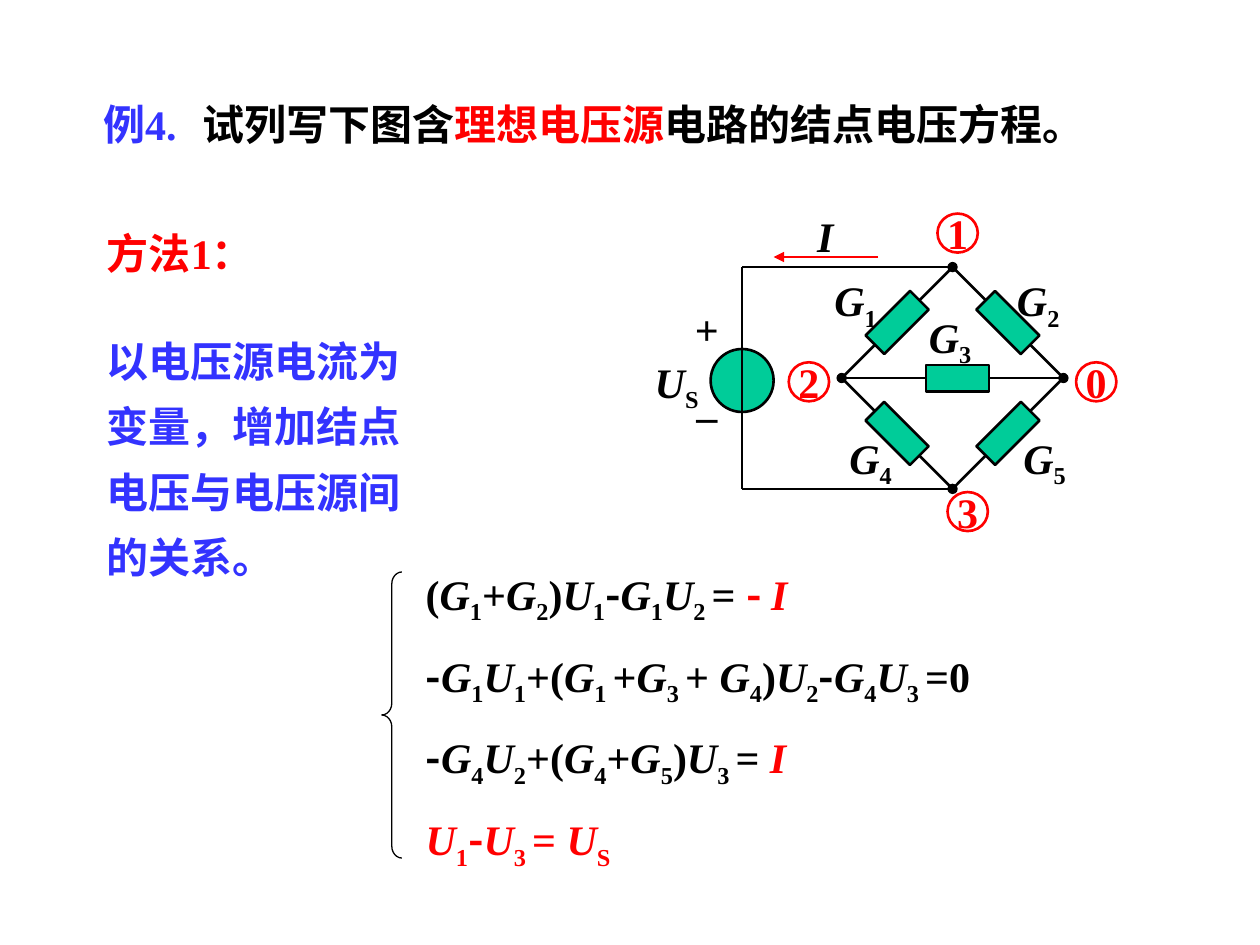
from itertools import groupby

from lxml import etree
from pptx import Presentation
from pptx.dml.color import RGBColor
from pptx.enum.shapes import MSO_CONNECTOR, MSO_SHAPE
from pptx.enum.text import MSO_ANCHOR, MSO_AUTO_SIZE, PP_ALIGN
from pptx.oxml.ns import qn
from pptx.util import Inches, Pt

STRAIGHT = MSO_CONNECTOR.STRAIGHT
RECTANGLE, OVAL, LEFT_BRACE = MSO_SHAPE.RECTANGLE, MSO_SHAPE.OVAL, MSO_SHAPE.LEFT_BRACE
TOP, MIDDLE = MSO_ANCHOR.TOP, MSO_ANCHOR.MIDDLE
LEFT, CENTER = PP_ALIGN.LEFT, PP_ALIGN.CENTER
NO_FIT = MSO_AUTO_SIZE.NONE

BLACK, RED, BLUE, GREEN = "000000", "FF0000", "3333FF", "00CC99"
LATIN_FONT, CHINESE_FONT = "Times New Roman", "Noto Sans CJK SC"
PLAIN, ITALIC, SUBSCRIPT, MINUS = "plain", "italic", "subscript", "minus"


def color(hex_string):
    return RGBColor.from_string(hex_string)


def add_run(paragraph, text, hex_string, style=PLAIN):
    run = paragraph.add_run()
    run.text = text
    font = run.font
    font.size, font.bold, font.italic = Pt(24), True, style == ITALIC
    font.color.rgb = color(hex_string)
    font.name = CHINESE_FONT if style == MINUS else LATIN_FONT
    properties = run._r.get_or_add_rPr()
    etree.SubElement(properties, qn("a:ea")).set("typeface", CHINESE_FONT)
    if style == SUBSCRIPT:
        properties.set("baseline", "-25000")


def styled_characters(formula):
    """Pair characters with styles: _ lowers the next one, a space keeps the last style."""
    pairs, style, lowered = [], PLAIN, False
    for character in formula:
        if character == "_":
            lowered = True
            continue
        if lowered:
            style = SUBSCRIPT
        elif character in "GUI":
            style = ITALIC
        elif character == "-":
            style = MINUS
        elif character != " ":
            style = PLAIN
        lowered = False
        pairs.append((character, style))
    return pairs


def add_formula(paragraph, formula, hex_string=BLACK):
    for style, group in groupby(styled_characters(formula), key=lambda pair: pair[1]):
        add_run(paragraph, "".join(pair[0] for pair in group), hex_string, style)


def prepare_text(shape, wrap=True, anchor=TOP, align=LEFT):
    """Set up the text frame and return its first paragraph."""
    frame = shape.text_frame
    frame.auto_size, frame.word_wrap, frame.vertical_anchor = NO_FIT, wrap, anchor
    paragraph = frame.paragraphs[0]
    paragraph.alignment = align
    return paragraph


def add_text_box(slide, left, top, width, height, **options):
    box = slide.shapes.add_textbox(
        Inches(left), Inches(top), Inches(width), Inches(height))
    return prepare_text(box, **options)


def add_centered_box(slide, x, y, width, height):
    return add_text_box(slide, x - width / 2, y - height / 2, width, height,
                        wrap=False, align=CENTER)


def add_outline(slide, kind, x, y, width, height, line=BLACK, fill=None, points=1.5):
    """Place a preset shape around the centre x, y."""
    shape = slide.shapes.add_shape(
        kind, Inches(x - width / 2), Inches(y - height / 2), Inches(width), Inches(height))
    shape.shadow.inherit = False
    if fill:
        shape.fill.solid()
        shape.fill.fore_color.rgb = color(fill)
    else:
        shape.fill.background()
    shape.line.color.rgb = color(line)
    shape.line.width = Pt(points)
    return shape


def add_wire(slide, start, end, hex_string=BLACK, points=1.5, head=None, tail=None):
    wire = slide.shapes.add_connector(STRAIGHT, *map(Inches, start + end))
    wire.line.color.rgb = color(hex_string)
    wire.line.width = Pt(points)
    line_xml = wire.line._get_or_add_ln()
    for tag, kind in (("a:headEnd", head), ("a:tailEnd", tail)):
        if kind:
            etree.SubElement(line_xml, qn(tag)).set("type", kind)
    etree.SubElement(wire._element.spPr, qn("a:effectLst"))


def add_heading(slide, left, top, width, height):
    number_width = 0.79
    title = slide.shapes.title
    title.left, title.top = Inches(left + number_width), Inches(top)
    title.width, title.height = Inches(width - number_width), Inches(height)
    paragraph = prepare_text(title)
    add_run(paragraph, "试列写下图含", BLACK)
    add_run(paragraph, "理想电压源", RED)
    add_run(paragraph, "电路的结点电压方程。", BLACK)
    add_run(add_text_box(slide, left, top, 1.14, height), "例4.", BLUE)


def add_method(slide, left, top, width):
    add_run(add_text_box(slide, left, top, 1.93, 0.5), "方法1：", RED)
    paragraph = add_text_box(slide, left, top + 0.73, width, 2.18)
    paragraph.line_spacing = 1.3
    add_run(paragraph, "以电压源电流为变量，增加结点电压与电压源间的关系。", BLUE)


def add_equations(slide, left, top, width, height):
    brace = add_outline(slide, LEFT_BRACE, left + 0.08, top + height / 2,
                        0.16, height, points=0.75)
    brace.adjustments[0] = 0.59
    equations = [
        [("(G_1+G_2)U_1-G_1U_2 = ", BLACK), ("- I", RED)],
        [("-G_1U_1+(G_1 +G_3 + G_4)U_2-G_4U_3 =0", BLACK)],
        [("-G_4U_2+(G_4+G_5)U_3 = ", BLACK), ("I", RED)],
        [("U_1-U_3 = U_S", RED)],
    ]
    for row, parts in enumerate(equations):
        paragraph = add_text_box(slide, left + 0.25, top - 0.08 + 0.65 * row,
                                 width - 0.25, 0.56)
        for formula, hex_string in parts:
            add_formula(paragraph, formula, hex_string)


def add_bridge(slide, x, y, reach):
    """Draw the diamond of conductances; reach runs from its centre to each node."""
    side = reach * 2 ** 0.5
    add_outline(slide, RECTANGLE, x, y, side, side).rotation = 45
    add_wire(slide, (x - reach, y), (x + reach, y), head="oval", tail="oval")

    middle = reach / 2
    conductances = [
        ("G_1", -middle, -middle, 45, -0.77, -0.59),
        ("G_2", middle, -middle, 315, 0.68, -0.59),
        ("G_3", 0.04, 0, 270, -0.02, -0.30),
        ("G_4", -middle, middle, 315, -0.65, 0.66),
        ("G_5", middle, middle, 45, 0.73, 0.66),
    ]
    for name, dx, dy, angle, label_dx, label_dy in conductances:
        resistor = add_outline(slide, RECTANGLE, x + dx, y + dy, 0.21, 0.5, fill=GREEN)
        resistor.rotation = angle
        add_formula(add_centered_box(slide, x + label_dx, y + label_dy, 0.54, 0.56), name)

    nodes = [("0", 1.14, 0.03), ("1", 0.04, -1.15), ("2", -1.14, 0.03), ("3", 0.12, 1.06)]
    for number, dx, dy in nodes:
        circle = add_outline(slide, OVAL, x + dx, y + dy, 0.32, 0.31, line=RED)
        paragraph = prepare_text(circle, wrap=False, anchor=MIDDLE, align=CENTER)
        add_run(paragraph, number, RED)


def add_voltage_source(slide, left, top, right, bottom):
    """Draw the source branch at left and its wires to the bridge at right."""
    for y in (top, bottom):
        add_wire(slide, (right, y), (left, y), head="oval")
    add_outline(slide, OVAL, left, top + 0.9, 0.5, 0.5, fill=GREEN)
    add_wire(slide, (left, top), (left, bottom))
    add_run(add_centered_box(slide, left - 0.28, top + 0.49, 0.39, 0.5), "+", BLACK)
    add_run(add_centered_box(slide, left - 0.28, top + 1.06, 0.37, 0.5), "_", BLACK)
    add_formula(add_centered_box(slide, left - 0.52, top + 0.94, 0.58, 0.56), "U_S")
    add_wire(slide, (left + 1.08, top - 0.08), (left + 0.25, top - 0.08),
             RED, 0.75, tail="triangle")
    add_formula(add_centered_box(slide, left + 0.66, top - 0.25, 0.33, 0.5), "I")


def main():
    presentation = Presentation()
    presentation.slide_width, presentation.slide_height = Inches(10), Inches(7.5)
    slide = presentation.slides.add_slide(presentation.slide_layouts[5])
    add_heading(slide, 0.72, 0.73, 8.69, 0.5)
    add_method(slide, 0.75, 1.76, 2.75)
    add_equations(slide, 3.03, 4.54, 5.21, 2.27)
    center_x, center_y, reach = 7.56, 3, 0.88
    add_bridge(slide, center_x, center_y, reach)
    add_voltage_source(slide, 5.89, center_y - reach, center_x, center_y + reach)
    presentation.save("out.pptx")


if __name__ == "__main__":
    main()
